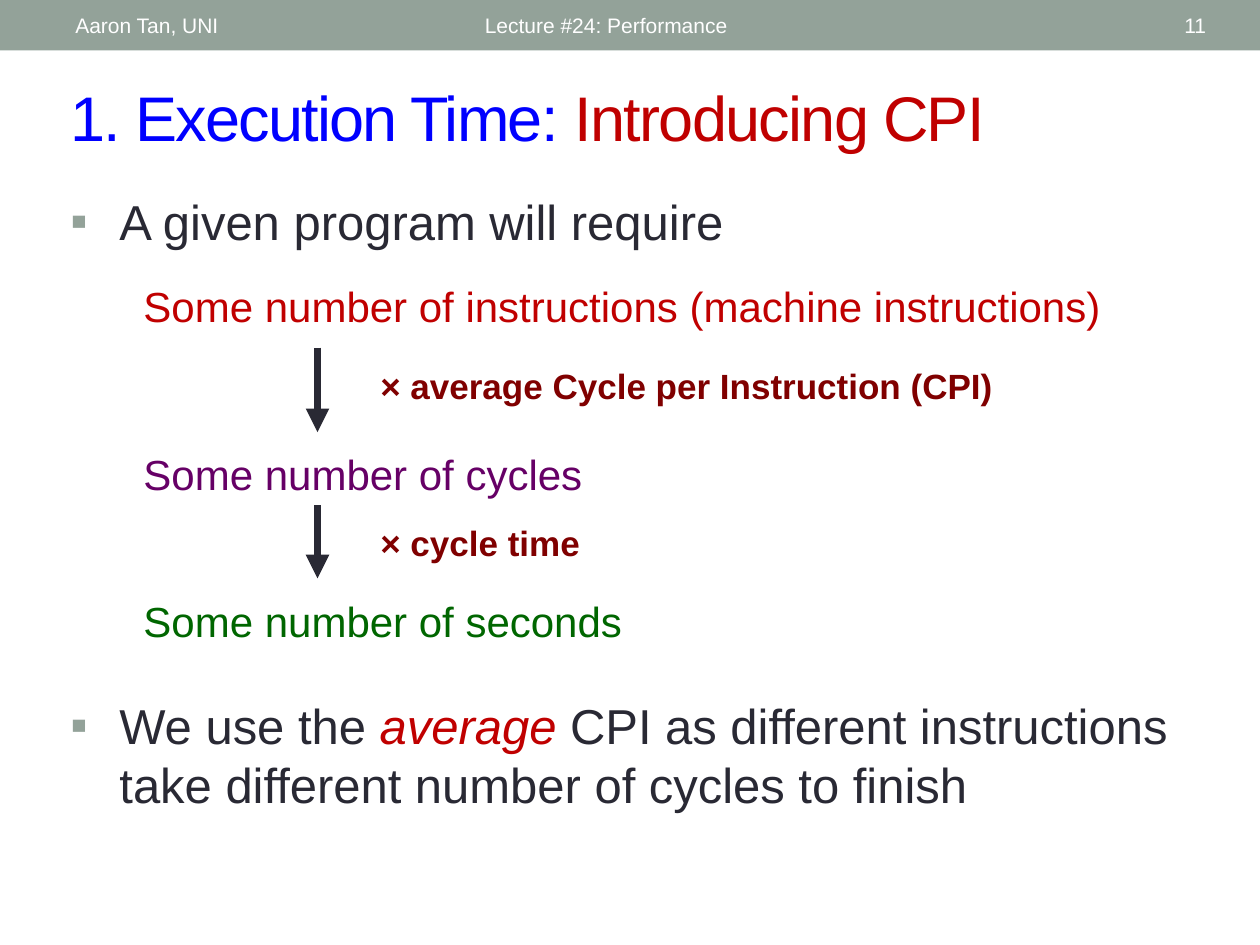
from pptx import Presentation
from pptx.dml.color import RGBColor
from pptx.enum.shapes import MSO_CONNECTOR as Conn, MSO_SHAPE as Shape
from pptx.enum.text import MSO_ANCHOR as Anchor, PP_ALIGN as Align
from pptx.oxml.ns import qn
from pptx.util import Emu, Inches, Pt
from lxml.etree import SubElement

FONT = "Arial"
SAGE, INK, RED, MAROON, WHITE = "93A299", "292934", "C00000", "800000", "FFFFFF"

# Header items: text, left, width, alignment
HEADER = [
    ("Lecture #24: Performance", 3.75, 4.5, Align.LEFT),
    ("Aaron Tan, UNI", 0.5, 3.17, Align.LEFT),
    ("11", 8.72, 0.95, Align.RIGHT),
]
TITLE = [("1. Execution Time: ", {"color": "0000FF"}), ("Introducing CPI", {"color": RED})]
# Bullets: top, height, runs
BULLETS = [
    (1.47, 0.7, [("A given program will require", {})]),
    (5.47, 1.17, [
        ("We use the ", {}),
        ("average", {"color": RED, "italic": True}),
        (" CPI as different instructions take different number of cycles to finish", {}),
    ]),
]
# Steps: top, text, colour
STEPS = [
    (2.18, "Some number of instructions (machine instructions)", RED),
    (3.51, "Some number of cycles", "660066"),
    (4.68, "Some number of seconds", "006600"),
]
# Conversions: arrow top, arrow bottom, label, label width
CONVERSIONS = [
    (2.76, 3.43, "× average Cycle per Instruction (CPI)", 5.17),
    (4.01, 4.59, "× cycle time", 1.92),
]
ARROW_X, LABEL_X, LABEL_DROP = 2.52, 2.92, 0.08


def rgb(value):
    """Turn a hex string into a colour."""
    return RGBColor.from_string(value)


def add_text(s, runs, left, top, width, height, size=12, color=INK, bold=False,
             align=Align.LEFT, anchor=Anchor.TOP, before=0, margin=0, hang=0,
             bullet=None, spacing=0):
    """Add a one-paragraph text box; runs is a string or (text, format) pairs."""
    box = s.shapes.add_textbox(*map(Inches, (left, top, width, height)))
    tf = box.text_frame
    tf.word_wrap, tf.vertical_anchor = True, anchor
    p = tf.paragraphs[0]
    p.alignment = align
    pPr = p._p.get_or_add_pPr()
    if margin:
        pPr.set("marL", str(Inches(margin)))
        pPr.set("indent", str(-Inches(hang)))
    if before:
        space = SubElement(pPr, qn("a:spcBef"))
        SubElement(space, qn("a:spcPct")).set("val", str(before * 1000))
    if bullet:
        tint = SubElement(pPr, qn("a:buClr"))
        SubElement(tint, qn("a:srgbClr")).set("val", SAGE)
        SubElement(pPr, qn("a:buFont")).set("typeface", FONT)
        SubElement(pPr, qn("a:buChar")).set("char", bullet)
    for text, style in [(runs, {})] if isinstance(runs, str) else runs:
        r = p.add_run()
        r.text = text
        r.font.name, r.font.size = FONT, Pt(size)
        r.font.bold, r.font.italic = bold, style.get("italic", False)
        r.font.color.rgb = rgb(style.get("color", color))
        if spacing:
            r._r.get_or_add_rPr().set("spc", str(spacing * 100))


def add_arrow(s, x, top, bottom):
    """Add a thick arrow pointing straight down."""
    line = s.shapes.add_connector(Conn.STRAIGHT, *map(Inches, (x, top, x, bottom)))
    line.line.color.rgb, line.line.width = rgb(INK), Pt(4.5)
    SubElement(line.line._get_or_add_ln(), qn("a:tailEnd")).set("type", "triangle")
    SubElement(line._element.spPr, qn("a:effectLst"))


def add_band(s, width, height):
    """Add the plain band along the top edge."""
    sp = s.shapes.add_shape(Shape.RECTANGLE, Emu(0), Emu(0), width, Inches(height))
    sp.shadow.inherit = False
    sp.fill.solid()
    sp.fill.fore_color.rgb = rgb(SAGE)
    sp.line.fill.background()


prs = Presentation()
prs.slide_width, prs.slide_height = Inches(10), Inches(7.5)
s = prs.slides.add_slide(prs.slide_layouts[6])

add_band(s, prs.slide_width, 0.4)
for text, left, width, align in HEADER:
    add_text(s, text, left, 0.02, width, 0.36, color=WHITE, align=align,
             anchor=Anchor.MIDDLE)
add_text(s, TITLE, 0.46, 0.57, 9.21, 0.7, size=36, anchor=Anchor.MIDDLE, spacing=-1)
for top, height, runs in BULLETS:
    add_text(s, runs, 0.46, top, 9, height, size=28, before=20, margin=0.39,
             hang=0.39, bullet="▪")
for top, text, color in STEPS:
    add_text(s, text, 0.67, top, 8.32, 0.5, size=24, color=color, before=20,
             margin=0.73, hang=0.36)
for top, bottom, label, width in CONVERSIONS:
    add_arrow(s, ARROW_X, top, bottom)
    add_text(s, label, LABEL_X, top + LABEL_DROP, width, 0.44, size=20,
             color=MAROON, bold=True, before=50)

prs.save("out.pptx")
